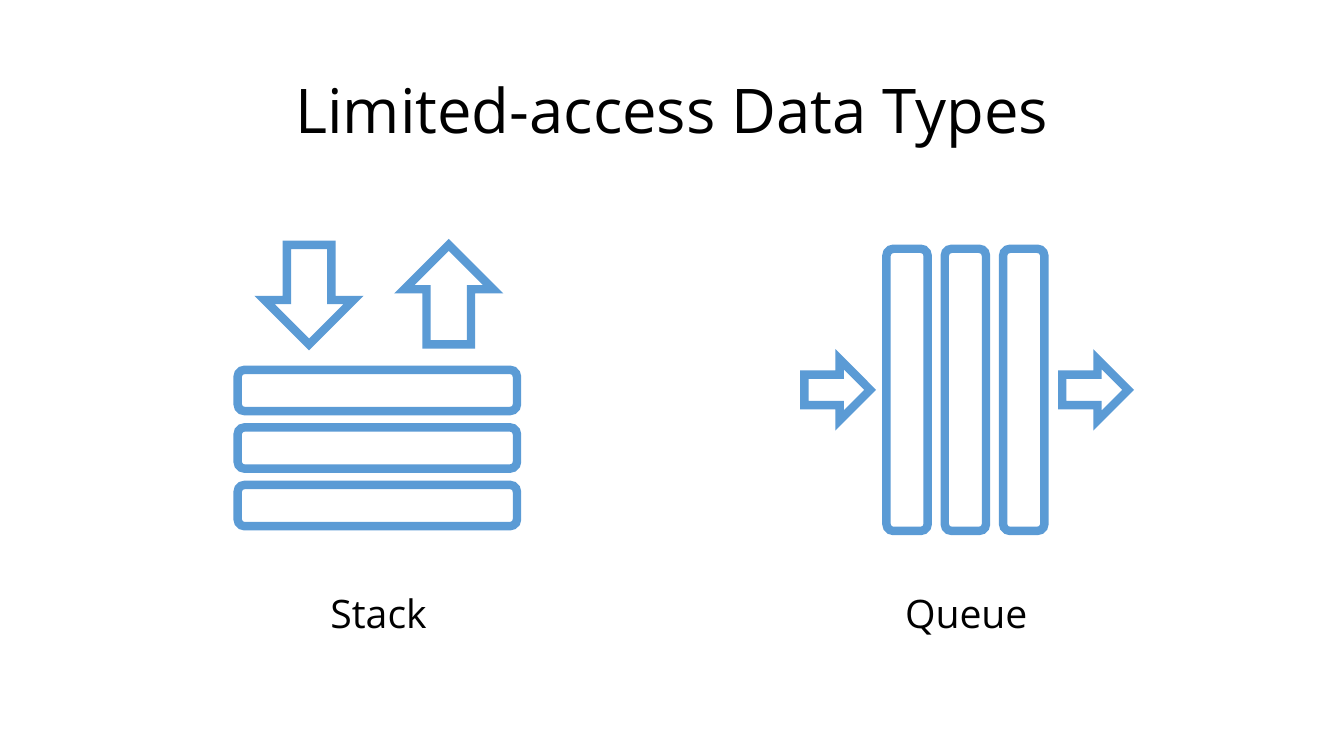
from collections import namedtuple

from lxml import etree
from pptx import Presentation
from pptx import util as u
from pptx.dml import color
from pptx.enum import shapes, text
from pptx.oxml import ns

COLOURS = {"ink": "000000", "outline": "5B9BD5"}
FONT = "Open Sans"
BAR_THICKNESS = 1.04
Box = namedtuple("Box", "left top width height")
KINDS = shapes.MSO_SHAPE


def apply(target, values):
    """Set each named value as an attribute of the target."""
    for name, value in values.items():
        setattr(target, name, value)


def place(holder, box):
    """Move an object to a box given in centimetres."""
    apply(holder, {side: u.Cm(value) for side, value in box._asdict().items()})


def add_words(holder, box, words, size, anchor, before=0):
    """Fill a placeholder with one centred line without a bullet."""
    place(holder, box)
    frame = holder.text_frame
    frame.text = words
    apply(frame, {"word_wrap": True, "vertical_anchor": anchor,
                  "auto_size": text.MSO_AUTO_SIZE.NONE})
    para = frame.paragraphs[0]
    apply(para, {"alignment": text.PP_ALIGN.CENTER, "line_spacing": 0.9,
                 "space_before": u.Pt(before)})
    settings = para._p.get_or_add_pPr()
    settings.set("marL", "0")
    settings.set("indent", "0")
    etree.SubElement(settings, ns.qn("a:buNone"))
    span = para.runs[0]
    apply(span.font, {"name": FONT, "size": u.Pt(size), "bold": False})
    span.font.color.rgb = color.RGBColor.from_string(COLOURS["ink"])


def add_outline(page, kind, box):
    """Draw an unfilled shape with a thick, sharp-cornered outline."""
    shape = page.shapes.add_shape(kind, *(u.Cm(value) for value in box))
    shape.shadow.inherit = False
    shape.fill.background()
    shape.line.width = u.Pt(6)
    shape.line.color.rgb = color.RGBColor.from_string(COLOURS["outline"])
    etree.SubElement(shape.line._get_or_add_ln(), ns.qn("a:miter"), lim="800000")


def draw_stack(page, box):
    """Draw lying bars with a push arrow and a pop arrow above them."""
    for row in range(3):
        top = box.top + 3.15 + 1.45 * row
        add_outline(page, KINDS.ROUNDED_RECTANGLE,
                    Box(box.left, top, box.width, BAR_THICKNESS))
    for kind, offset in ((KINDS.DOWN_ARROW, 0.68), (KINDS.UP_ARROW, 4.2)):
        add_outline(page, kind, Box(box.left + offset, box.top, 2.24, 2.51))


def draw_queue(page, box):
    """Draw standing bars between an entry arrow and an exit arrow."""
    for column in range(3):
        left = box.left + 2.07 + 1.47 * column
        add_outline(page, KINDS.ROUNDED_RECTANGLE,
                    Box(left, box.top, BAR_THICKNESS, box.height))
    width, height = 1.66, 1.54
    top = box.top + (box.height - height) / 2
    for left in (box.left, box.left + box.width - width):
        add_outline(page, KINDS.RIGHT_ARROW, Box(left, top, width, height))


def build_slide(deck, box):
    """Lay out the title, the two diagrams and their captions."""
    page = deck.slides.add_slide(deck.slide_layouts.get_by_name("Two Content"))
    title, *captions = page.placeholders
    add_words(title, Box(box.left, box.top, box.width, 3.68),
              "Limited-access Data Types", 44, text.MSO_ANCHOR.MIDDLE)
    width = 14.4
    lefts = (box.left, box.left + box.width - width)
    for holder, left, words in zip(captions, lefts, ("Stack", "Queue")):
        add_words(holder, Box(left, box.top + 13.84, width, 2.29),
                  words, 28, text.MSO_ANCHOR.TOP, before=10)
    draw_stack(page, Box(box.left + 3.65, box.top + 5.15, 7.04, 7.09))
    draw_queue(page, Box(box.left + 17.93, box.top + 5.25, 8.16, 7.11))


deck = Presentation()
apply(deck, {"slide_width": u.Cm(33.87), "slide_height": u.Cm(19.05)})
build_slide(deck, Box(2.34, 1.02, 29.21, 16.13))
deck.save("out.pptx")
